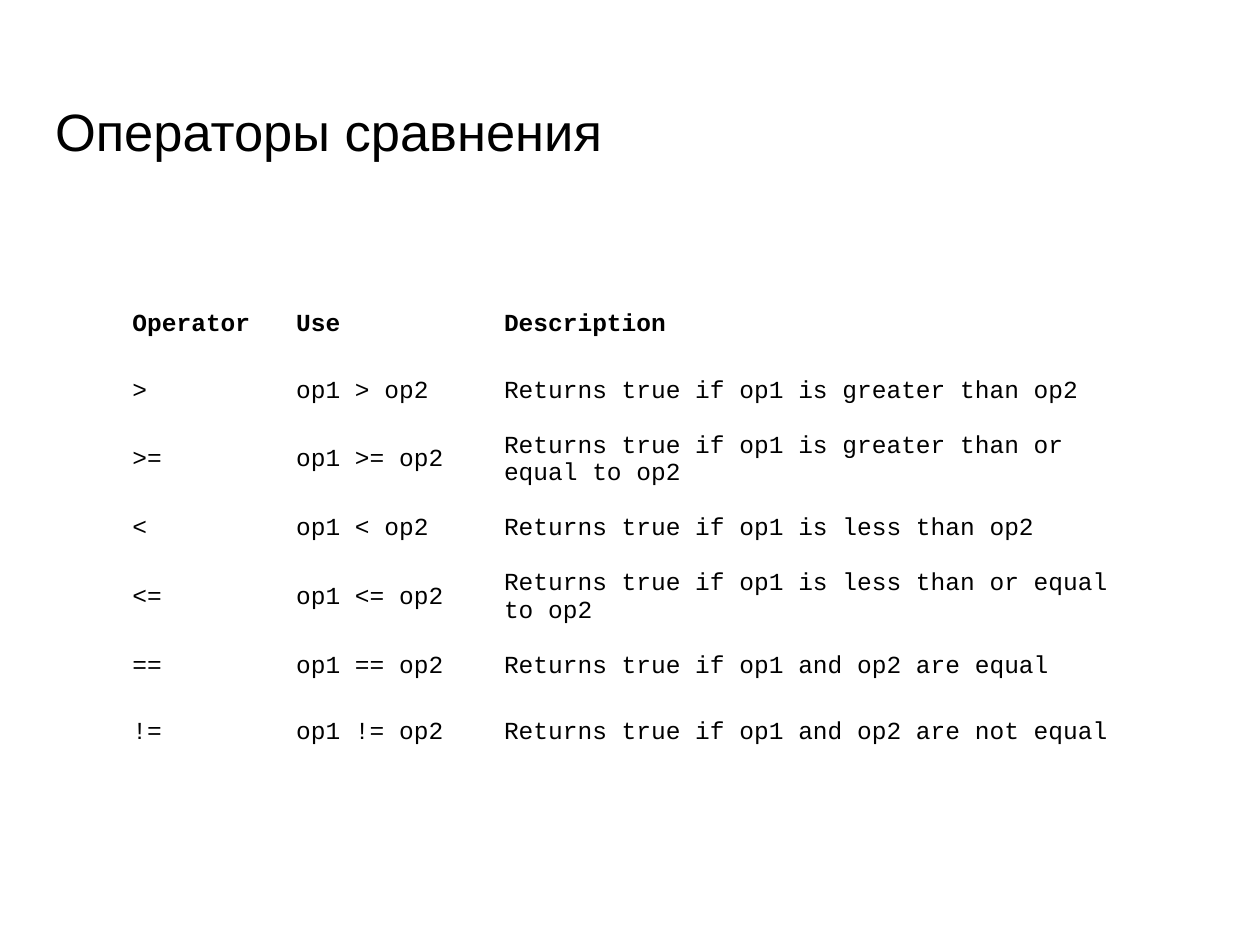
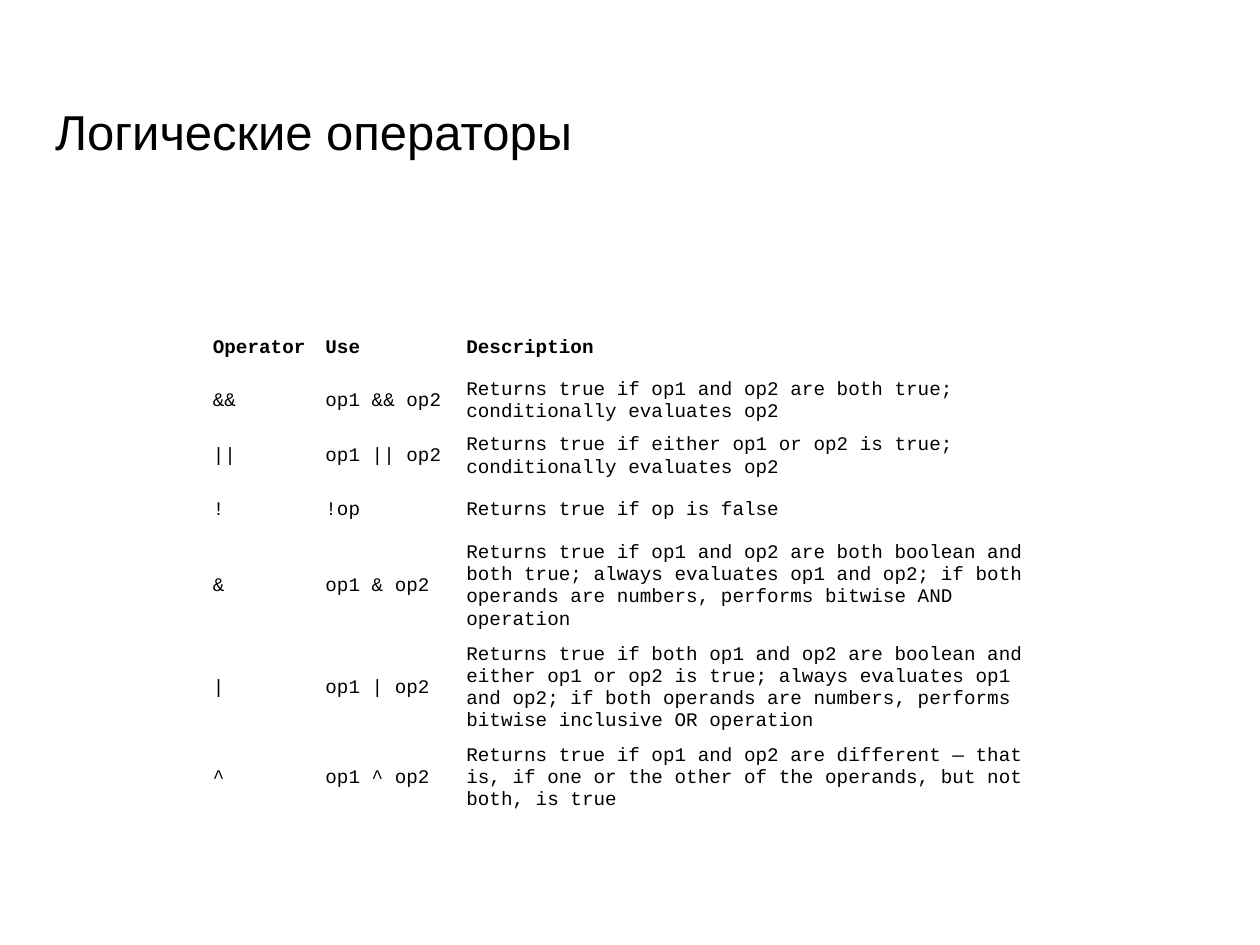
from pptx import Presentation
from pptx.dml.color import RGBColor
from pptx.enum.text import MSO_ANCHOR
from pptx.util import Cm, Pt

MIDDLE = MSO_ANCHOR.MIDDLE
COLORS = {"background": "FFFFFF", "text": "000000"}
TITLE_FONT = "Arial"
CODE_FONT = "Courier New"
BLANK_LAYOUT = 6
NO_BREAK_SPACE = chr(160)
HEADINGS = ("Operator", "Use", "Description")

SLIDES = [
    {
        "title": "Операторы сравнения",
        "title_size": 30,
        "table_size": 14,
        "left": 2.49,
        "top": 5.87,
        "columns": [3.3, 4.19, 13.31],
        "rows": [1.35, 1.35, 1.42, 1.35, 1.42, 1.35, 1.35],
        "operators": [
            (">", "op1 > op2", "Returns true if op1 is greater than op2"),
            (">=", "op1 >= op2", "Returns true if op1 is greater than or equal to op2"),
            ("<", "op1 < op2", "Returns true if op1 is less than op2"),
            ("<=", "op1 <= op2", "Returns true if op1 is less than or equal to op2"),
            ("==", "op1 == op2", "Returns true if op1 and op2 are equal"),
            ("!=", "op1 != op2", "Returns true if op1 and op2 are not equal"),
        ],
    },
    {
        "title": "Логические операторы",
        "title_size": 28,
        "table_size": 11,
        "left": 4.11,
        "top": 6.5,
        "columns": [2.27, 2.84, 12.01],
        "rows": [1.04, 1.08, 1.08, 1.04, 1.96, 1.96, 1.52],
        "operators": [
            ("&&", "op1 && op2",
             "Returns true if op1 and op2 are both true; conditionally evaluates op2"),
            ("||", "op1 || op2",
             "Returns true if either op1 or op2 is true; conditionally evaluates op2"),
            ("!", "!op", "Returns true if op is false"),
            ("&", "op1 & op2",
             "Returns true if op1 and op2 are both boolean and both true; "
             "always evaluates op1 and op2; if both operands are numbers, "
             "performs bitwise AND operation"),
            ("|", "op1 | op2",
             "Returns true if both op1 and op2 are boolean and either op1 or op2 "
             "is true; always evaluates op1 and op2; if both operands are numbers, "
             "performs bitwise inclusive OR operation"),
            ("^", "op1 ^ op2",
             "Returns true if op1 and op2 are different — that is, if one or the "
             "other of the operands, but not both, is true"),
        ],
    },
]


def write_text(text_frame, text, *, font, size, bold=False, line_spacing=None):
    paragraph = text_frame.paragraphs[0]
    paragraph.line_spacing = line_spacing
    run = paragraph.add_run()
    run.text = text
    run.font.name = font
    run.font.size = Pt(size)
    run.font.bold = bold
    run.font.color.rgb = RGBColor.from_string(COLORS["text"])


presentation = Presentation()
presentation.slide_width = Cm(25.4)
presentation.slide_height = Cm(19.05)

for content in SLIDES:
    slide = presentation.slides.add_slide(presentation.slide_layouts[BLANK_LAYOUT])
    slide.background.fill.solid()
    slide.background.fill.fore_color.rgb = RGBColor.from_string(COLORS["background"])

    title = slide.shapes.add_textbox(Cm(0.86), Cm(1.65), Cm(23.67), Cm(2.11))
    title.text_frame.word_wrap = True
    title.text_frame.vertical_anchor = MIDDLE
    write_text(title.text_frame, content["title"], font=TITLE_FONT,
               size=content["title_size"], line_spacing=0.9)

    table_rows = [HEADINGS] + content["operators"]
    table = slide.shapes.add_table(
        len(table_rows), len(HEADINGS), Cm(content["left"]), Cm(content["top"]),
        Cm(sum(content["columns"])), Cm(sum(content["rows"]))).table
    table.first_row = False
    table.horz_banding = False
    for column, width in zip(table.columns, content["columns"]):
        column.width = Cm(width)

    for row_index, (row, height) in enumerate(zip(table.rows, content["rows"])):
        row.height = Cm(height)
        for column_index, cell in enumerate(row.cells):
            text = table_rows[row_index][column_index]
            if HEADINGS[column_index] == "Use":
                text = text.replace(" ", NO_BREAK_SPACE)
            cell.fill.background()
            cell.vertical_anchor = MIDDLE
            cell.margin_left = cell.margin_right = Cm(0.18)
            cell.margin_top = cell.margin_bottom = Cm(0.09)
            write_text(cell.text_frame, text, font=CODE_FONT,
                       size=content["table_size"], bold=row_index == 0)

presentation.save("out.pptx")
